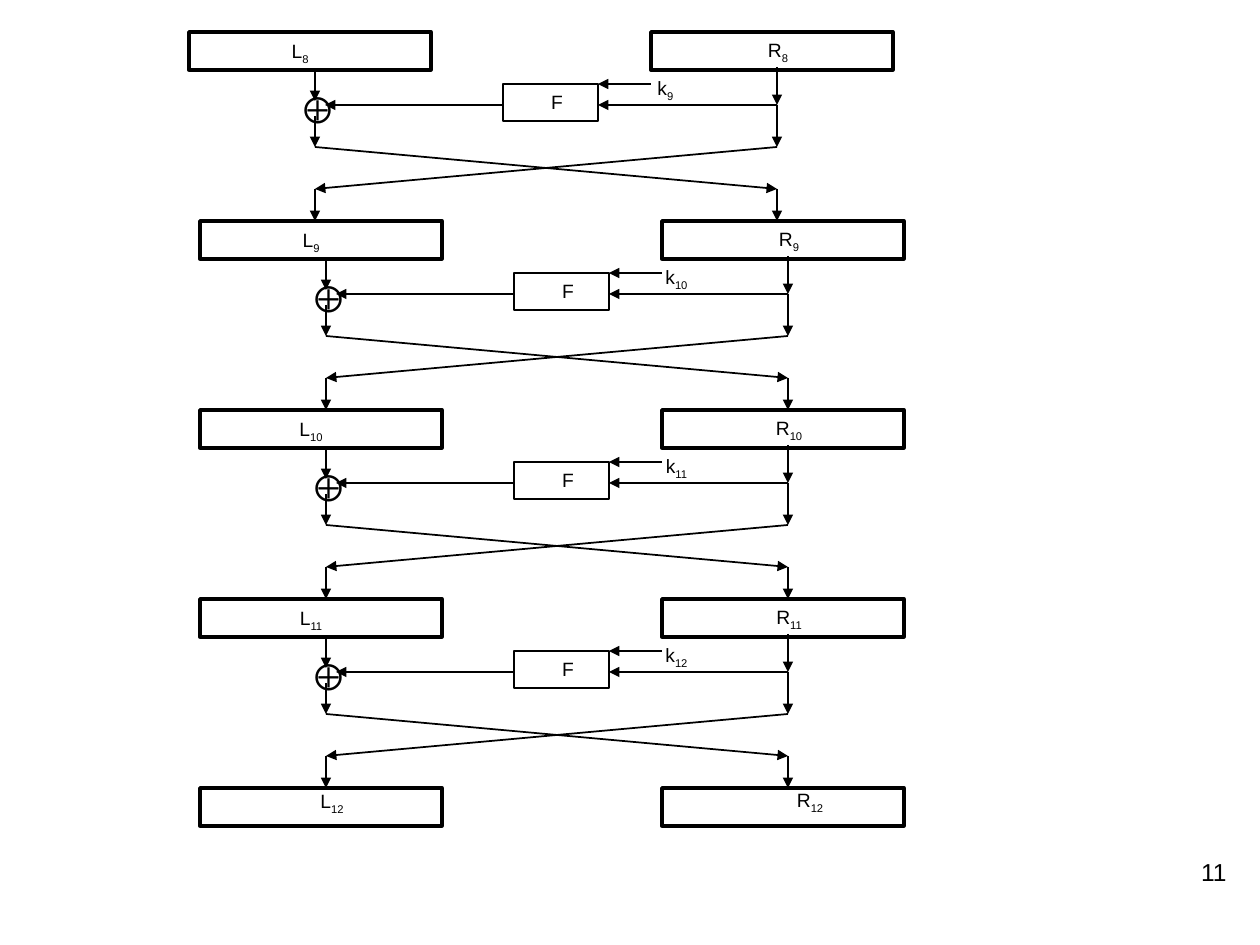
from lxml.etree import SubElement
from pptx import Presentation
from pptx.dml.color import RGBColor
from pptx.enum.shapes import MSO_CONNECTOR, MSO_SHAPE
from pptx.enum.text import PP_ALIGN
from pptx.oxml.ns import qn
from pptx.util import Emu, Inches, Pt

BLACK = RGBColor(0x00, 0x00, 0x00)
SCALE = Inches(1) // 126
ROUND_COUNT = 4
FIRST_ROUND = 8
TOP = 32
ROUND_HEIGHT = 189
FIRST_SHIFT = -11
LEFT_RAIL, RIGHT_RAIL = 326, 788
FUNCTION_LEFT, FUNCTION_RIGHT = 514, 609


def pixels(value):
    """Turn pixels into EMU."""
    return Emu(value * SCALE)


class Diagram:
    """Holds the style and the slide being drawn."""

    def __init__(self, slide, font="Arial", size=11, color=BLACK):
        self.slide = slide
        self.font = font
        self.size = size
        self.color = color

    def box(self, left, top, width, height, weight):
        """Draw an unfilled rectangle."""
        shape = self.slide.shapes.add_shape(
            MSO_SHAPE.RECTANGLE, *map(pixels, (left, top, width, height)))
        shape.shadow.inherit = False
        shape.fill.background()
        shape.line.color.rgb = self.color
        shape.line.width = Pt(weight)

    def arrow(self, start_x, start_y, end_x, end_y):
        """Draw a straight line with an arrowhead at its end."""
        connector = self.slide.shapes.add_connector(
            MSO_CONNECTOR.STRAIGHT, *map(pixels, (start_x, start_y, end_x, end_y)))
        connector.line.color.rgb = self.color
        connector.line.width = Pt(1)
        SubElement(connector.line._get_or_add_ln(), qn("a:tailEnd"), type="triangle")
        SubElement(connector._element.spPr, qn("a:effectLst"))

    def text(self, left, top, width, height, text, subscript="", size=None,
             align=PP_ALIGN.CENTER, wrap=True):
        """Write text with an optional subscript and return its paragraph."""
        shape = self.slide.shapes.add_textbox(
            *map(pixels, (left, top, width, height)))
        shape.text_frame.word_wrap = wrap
        paragraph = shape.text_frame.paragraphs[0]
        paragraph.alignment = align
        for content, baseline in ((text, None), (subscript, "-25000")):
            if not content:
                continue
            run = paragraph.add_run()
            run.text = content
            run.font.name = self.font
            run.font.size = Pt(size or self.size)
            run.font.color.rgb = self.color
            if baseline:
                run.font._element.set("baseline", baseline)
        return paragraph

    def label(self, center, top, text, subscript=""):
        """Write a one-line label around a centre."""
        self.text(center - 27, top, 54, 37, text, subscript, wrap=False)


def draw_registers(diagram, shift, top, number, label_shift=0, label_rise=0):
    """Draw the left and right half-block registers."""
    for left, center, drop, letter in ((200, 311, 1, "L"), (662, 789, 0, "R")):
        diagram.box(left + shift, top, 242, 38, 2)
        diagram.label(center + shift + label_shift, top + drop - label_rise,
                      letter, str(number))


def draw_round(diagram, shift, top, number):
    """Draw one Feistel round below its registers."""
    draw_registers(diagram, shift, top, number)
    diagram.box(FUNCTION_LEFT + shift, top + 52, 95, 37, 1)
    diagram.label(568 + shift, top + 52, "F")
    diagram.text(300 + shift, top + 52, 57, 47, "\u2a01", size=16)
    diagram.text(650 + shift, top + 38, 53, 37, "k", str(number + 1))
    arrows = (
        (662, 52, FUNCTION_RIGHT, 52),
        (RIGHT_RAIL, 73, FUNCTION_RIGHT, 73),
        (FUNCTION_LEFT, 73, 336, 73),
        (LEFT_RAIL, 38, LEFT_RAIL, 69),
        (LEFT_RAIL, 84, LEFT_RAIL, 115),
        (RIGHT_RAIL, 35, RIGHT_RAIL, 73),
        (RIGHT_RAIL, 73, RIGHT_RAIL, 115),
        (RIGHT_RAIL, 115, LEFT_RAIL, 157),
        (LEFT_RAIL, 115, RIGHT_RAIL, 157),
        (LEFT_RAIL, 157, LEFT_RAIL, ROUND_HEIGHT),
        (RIGHT_RAIL, 157, RIGHT_RAIL, ROUND_HEIGHT),
    )
    for start_x, start_y, end_x, end_y in arrows:
        diagram.arrow(start_x + shift, top + start_y, end_x + shift, top + end_y)


def main():
    """Build the slide and save it."""
    presentation = Presentation()
    presentation.slide_width = Inches(10)
    presentation.slide_height = Inches(7.5)
    slide = presentation.slides.add_slide(presentation.slide_layouts[6])
    diagram = Diagram(slide)
    for index in range(ROUND_COUNT):
        draw_round(diagram, 0 if index else FIRST_SHIFT,
                   TOP + index * ROUND_HEIGHT, FIRST_ROUND + index)
    draw_registers(diagram, 0, TOP + ROUND_COUNT * ROUND_HEIGHT,
                   FIRST_ROUND + ROUND_COUNT, label_shift=21, label_rise=6)
    diagram.text(977, 851, 262, 63, "11", size=14, align=PP_ALIGN.RIGHT)
    presentation.save("out.pptx")


main()
